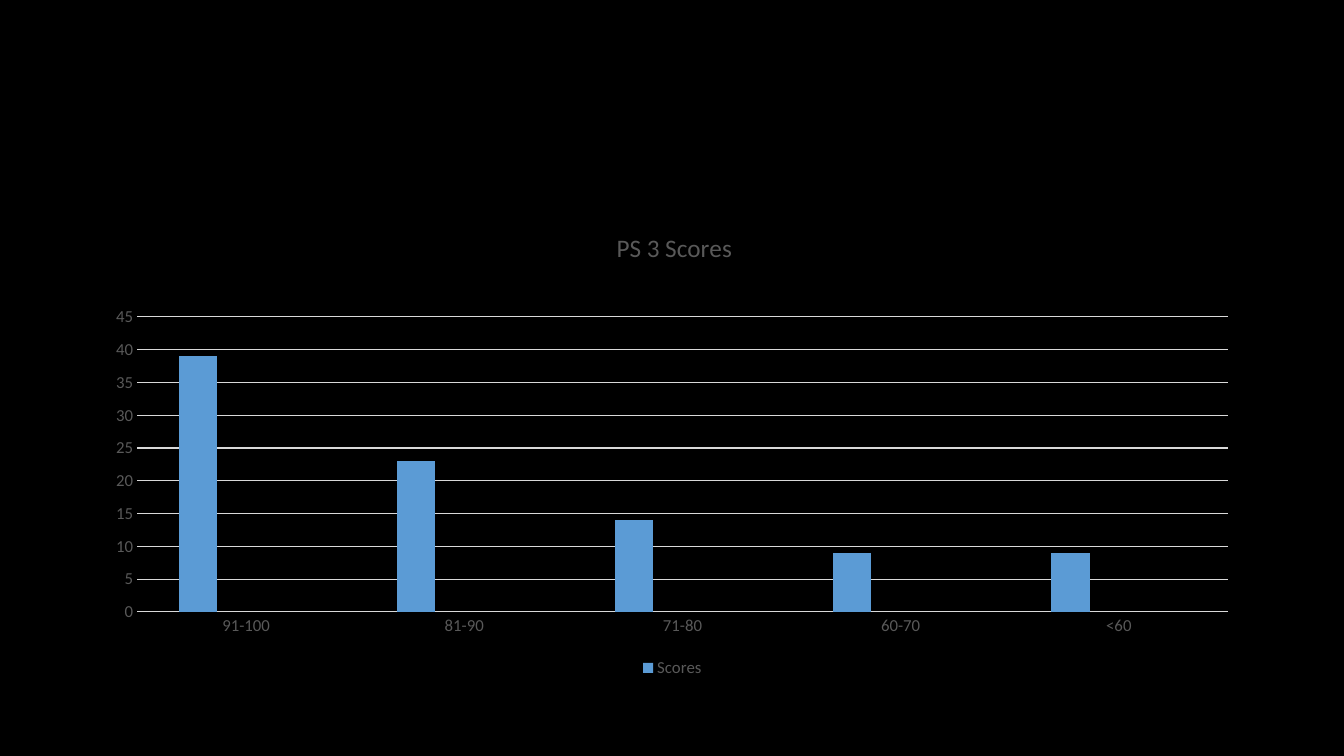
"""Build the PS 3 score distribution slide."""
from lxml import etree
from pptx import Presentation
from pptx import util as u
from pptx.chart.data import CategoryChartData
from pptx.dml.color import RGBColor
from pptx.enum import chart as ce
from pptx.oxml import parse_xml
from pptx.oxml.ns import nsdecls, qn

SCALE = 914400 / 100.8
COLORS = {"back": "000000", "text": "595959", "line": "D9D9D9",
          "Scores": "5B9BD5", "Column1": "ED7D31", "Column2": "A5A5A5"}
BANDS = ["91-100", "81-90", "71-80", "60-70", "<60"]
SCORES = [39, 23, 14, 9, 9]
FRAME = (93, 202, 1159, 480)
PLOT = (137, 317, 1091, 295)
TITLE = (612, 226)


def px(num):
    """Turn px into EMU."""
    return u.Emu(round(num * SCALE))


def paint(fill, name):
    """Fill with a named colour."""
    fill.solid()
    fill.fore_color.rgb = RGBColor.from_string(COLORS[name])


def style(font, size):
    """Format chart text."""
    for key, val in {"name": "Calibri", "size": u.Pt(size), "bold": False}.items():
        setattr(font, key, val)
    font.color.rgb = RGBColor.from_string(COLORS["text"])


def rule(line):
    """Format an axis or grid line."""
    paint(line.fill, "line")
    line.width = u.Pt(0.75)


def place(node, box):
    """Place a chart part at a slide position in px."""
    layout = node.find(qn("c:layout"))
    if layout is None:
        layout = parse_xml(f"<c:layout {nsdecls('c')}/>")
        node.insert(0, layout)
    manual = etree.SubElement(layout, qn("c:manualLayout"))
    left, top, wide, high = FRAME
    parts = {"xMode": "edge", "yMode": "edge",
             "x": round((box[0] - left) / wide, 4),
             "y": round((box[1] - top) / high, 4)}
    if len(box) == 4:
        parts = {"layoutTarget": "inner", **parts,
                 "w": round(box[2] / wide, 4), "h": round(box[3] / high, 4)}
    for key, val in parts.items():
        etree.SubElement(manual, qn(f"c:{key}")).set("val", str(val))


def add_bars(slide):
    """Add the column chart."""
    data = CategoryChartData()
    data.categories = BANDS
    data.add_series("Scores", SCORES)
    for name in ("Column1", "Column2"):
        data.add_series(name, [None] * len(BANDS))
    chart = slide.shapes.add_chart(
        ce.XL_CHART_TYPE.COLUMN_CLUSTERED, *map(px, FRAME), data).chart
    style(chart.font, 12)
    plot = chart.plots[0]
    for key, val in {"gap_width": 219, "overlap": -27,
                     "vary_by_categories": False}.items():
        setattr(plot, key, val)
    for item in plot.series:
        paint(item.format.fill, item.name)
    place(chart._chartSpace.chart.plotArea, PLOT)
    return chart


def set_title(chart):
    """Write the chart title."""
    title = chart.chart_title
    title.text_frame.text = "PS 3 Scores"
    style(title.text_frame.paragraphs[0].runs[0].font, 18)
    place(title._element, TITLE)


def set_axes(chart):
    """Format both axes and the grid."""
    for axis in (chart.category_axis, chart.value_axis):
        axis.major_tick_mark = axis.minor_tick_mark = ce.XL_TICK_MARK.NONE
        style(axis.tick_labels.font, 12)
    rule(chart.category_axis.format.line)
    scale = chart.value_axis
    for key, val in {"minimum_scale": 0, "maximum_scale": 45, "major_unit": 5,
                     "has_major_gridlines": True}.items():
        setattr(scale, key, val)
    scale.format.line.fill.background()
    rule(scale.major_gridlines.format.line)


def set_legend(chart):
    """Show only the filled series in the legend."""
    chart.has_legend = True
    legend = chart.legend
    legend.position = ce.XL_LEGEND_POSITION.BOTTOM
    legend.include_in_layout = False
    style(legend.font, 12)
    for spot in (1, 2):
        entry = parse_xml(f"<c:legendEntry {nsdecls('c')}><c:idx val='{spot}'/>"
                          "<c:delete val='1'/></c:legendEntry>")
        legend._element.insert(spot, entry)


def main():
    """Build and save the slide."""
    deck = Presentation()
    deck.slide_width, deck.slide_height = px(1344), px(756)
    slide = deck.slides.add_slide(deck.slide_layouts[6])
    paint(slide.background.fill, "back")
    chart = add_bars(slide)
    set_title(chart)
    set_axes(chart)
    set_legend(chart)
    deck.save("out.pptx")


if __name__ == "__main__":
    main()
